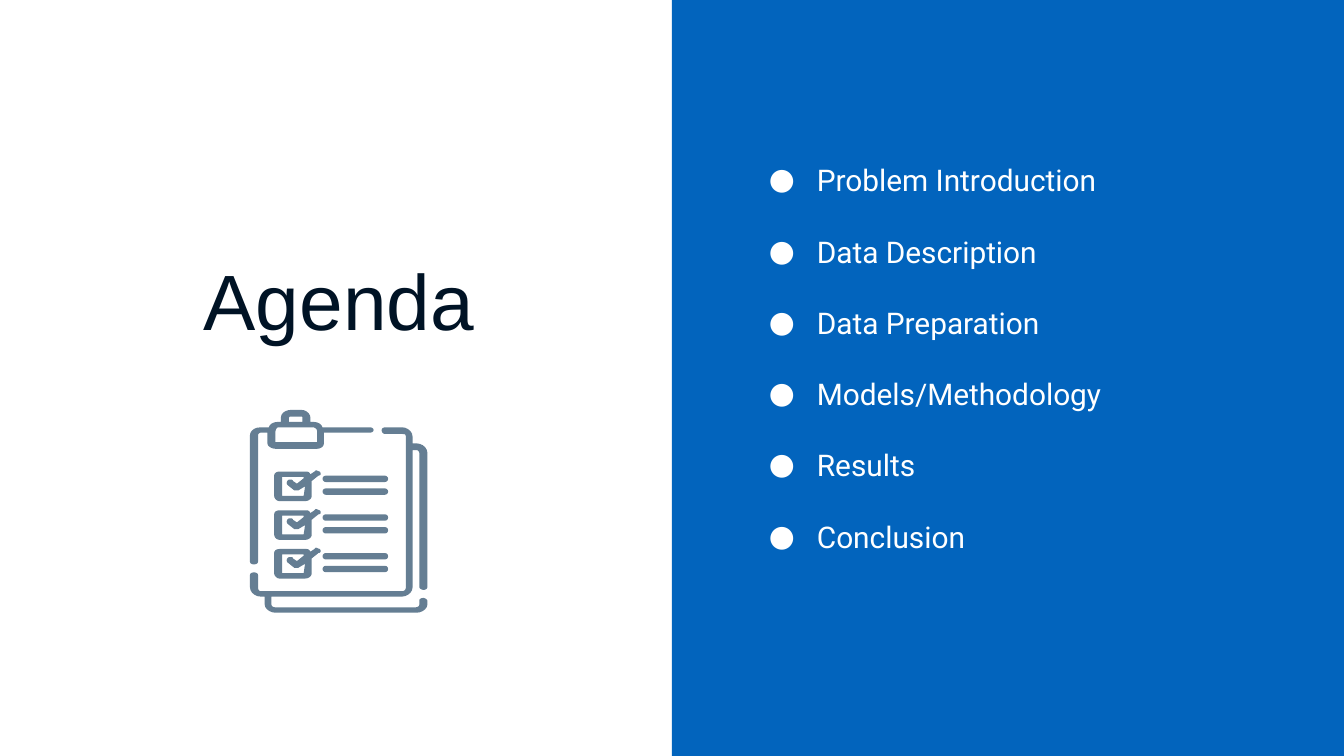
import pptx
import pptx.dml.color
import pptx.enum.shapes
import pptx.enum.text
import pptx.oxml
import pptx.oxml.ns
import pptx.util
from pptx.util import Cm

COLOURS = {"panel": "0264BD", "title": "001325", "body": "FFFFFF", "icon": "657E93"}
TOPICS = ["Problem Introduction", "Data Description", "Data Preparation",
          "Models/Methodology", "Results", "Conclusion"]

UNIT = 0.0254
ROW_STEP = 28.8
CURVE_STEPS = 5

SHEETS = [[
    (287, 318), (285, 318, 284, 319, 284, 320), (284, 322, 285, 323, 287, 323),
    (299, 323), (301, 323, 302, 323, 302, 325), (302, 437),
    (302, 439, 301, 440, 299, 440), (194, 440), (193, 440, 192, 439, 192, 437),
    (192, 428), (192, 427, 191, 426, 189, 426), (187, 426, 186, 427, 186, 428),
    (186, 437), (186, 441, 190, 444, 194, 444), (197, 444), (197, 450),
    (197, 453, 201, 456, 205, 456), (310, 456), (314, 456, 318, 453, 318, 450),
    (318, 447), (318, 446, 316, 445, 315, 445), (313, 445, 312, 446, 312, 447),
    (312, 450), (312, 451, 311, 452, 309, 452), (205, 452),
    (203, 452, 202, 451, 202, 450), (202, 444), (299, 444),
    (303, 444, 307, 441, 307, 437), (307, 335), (310, 335),
    (311, 335, 312, 336, 312, 337), (312, 437), (312, 438, 314, 439, 315, 439),
    (317, 439, 318, 438, 318, 437), (318, 337), (318, 333, 314, 330, 310, 330),
    (307, 330), (307, 325), (307, 321, 303, 318, 299, 318),
]]
CLIP = [
    [(224, 310), (225, 310, 225, 310, 225, 311), (225, 314), (215, 314),
     (215, 311), (215, 310, 216, 310, 217, 310)],
    [(233, 318), (234, 318, 236, 319, 236, 321), (236, 329), (205, 329),
     (205, 321), (205, 320, 206, 318, 207, 318)],
    [(217, 305), (213, 305, 209, 307, 209, 311), (209, 314), (207, 314),
     (204, 314, 201, 315, 200, 318), (194, 318), (189, 318, 186, 321, 186, 324),
     (186, 418), (186, 419, 187, 420, 189, 420), (191, 420, 192, 419, 192, 418),
     (192, 324), (192, 323, 193, 322, 194, 322), (199, 322), (199, 330),
     (199, 332, 202, 334, 205, 334), (236, 334), (239, 334, 241, 332, 241, 330),
     (241, 322), (275, 322), (277, 322, 278, 321, 278, 320),
     (278, 319, 277, 318, 275, 318), (240, 318), (239, 315, 236, 314, 233, 314),
     (231, 314), (231, 311), (231, 308, 228, 305, 224, 305)],
]
CHECK = [
    [(226, 355), (226, 356), (221, 360), (218, 358), (218, 357, 217, 357, 216, 357),
     (216, 357, 215, 357, 215, 357), (213, 358, 213, 360, 214, 361), (219, 365),
     (219, 365, 220, 365, 221, 365), (221, 365, 222, 365, 222, 365), (227, 362),
     (226, 369), (210, 369), (210, 355)],
    [(235, 350), (235, 350, 234, 351, 234, 351), (231, 353),
     (230, 351, 229, 351, 227, 351), (208, 351), (206, 351, 204, 352, 204, 354),
     (204, 369), (204, 371, 206, 373, 208, 373), (227, 373),
     (230, 373, 232, 371, 232, 369), (232, 358), (237, 354),
     (239, 354, 239, 352, 238, 351), (237, 351, 236, 350, 235, 350)],
]


def colour(name):
    """Return the named colour."""
    return pptx.dml.color.RGBColor.from_string(COLOURS[name])


def paint(shape, name):
    """Give a shape a plain fill with no line or shadow."""
    shape.shadow.inherit = False
    shape.fill.solid()
    shape.fill.fore_color.rgb = colour(name)
    shape.line.fill.background()


def flatten(contour):
    """Turn lines and cubic curves into a list of points."""
    points = [contour[0]]
    for step in contour[1:]:
        if len(step) == 2:
            points.append(step)
            continue
        controls = [points[-1], step[:2], step[2:4], step[4:]]
        for count in range(1, CURVE_STEPS + 1):
            t = count / CURVE_STEPS
            weights = [(1 - t) ** 3, 3 * t * (1 - t) ** 2, 3 * t * t * (1 - t), t ** 3]
            points.append(tuple(sum(weight * control[axis] for weight, control
                                    in zip(weights, controls)) for axis in (0, 1)))
    return points


def add_outline(group, contours, drop=0):
    """Draw closed contours as one filled shape, moved down by drop units."""
    builder = None
    for contour in contours:
        points = [(Cm(x * UNIT), Cm((y + drop) * UNIT)) for x, y in flatten(contour)]
        if builder is None:
            builder = group.shapes.build_freeform(*points[0], scale=1.0)
        else:
            builder.move_to(*points[0])
        builder.add_line_segments(points[1:], close=True)
    paint(builder.convert_to_shape(), "icon")


def add_bar(group, top):
    """Draw one round-ended text line of the checklist."""
    bar = group.shapes.add_shape(pptx.enum.shapes.MSO_SHAPE.ROUNDED_RECTANGLE,
                                 Cm(240 * UNIT), Cm(top * UNIT), Cm(1.24), Cm(0.12))
    bar.adjustments[0] = 0.5
    paint(bar, "icon")


def add_checklist(page):
    """Draw the clipboard with its three ticked rows."""
    group = page.shapes.add_group_shape()
    add_outline(group, SHEETS)
    add_outline(group, CLIP)
    for row in range(3):
        drop = row * ROW_STEP
        add_outline(group, CHECK, drop)
        for top in (354, 363.5):
            add_bar(group, top + drop)


def add_text(page, left, top, width, height, text, anchor):
    """Add a wrapping text box and return its text frame."""
    frame = page.shapes.add_textbox(Cm(left), Cm(top), Cm(width), Cm(height)).text_frame
    frame.word_wrap = True
    frame.vertical_anchor = anchor
    frame.margin_left = frame.margin_right = Cm(0.25)
    frame.margin_top = frame.margin_bottom = Cm(0.25)
    frame.text = text
    return frame


def style(paragraph, size, face, name):
    """Format every run of a paragraph."""
    for span in paragraph.runs:
        span.font.size = pptx.util.Pt(size)
        span.font.name = face
        span.font.color.rgb = colour(name)


def add_bullet(paragraph):
    """Give a paragraph a round white bullet with a hanging indent."""
    properties = paragraph._p.get_or_add_pPr()
    properties.set("marL", str(Cm(1.27)))
    properties.set("indent", str(Cm(-0.91)))
    namespace = pptx.oxml.ns.nsdecls("a")
    for markup in (f'<a:buClr {namespace}><a:srgbClr val="{COLOURS["body"]}"/></a:buClr>',
                   f'<a:buFont {namespace} typeface="Roboto"/>',
                   f'<a:buChar {namespace} char="●"/>'):
        properties.append(pptx.oxml.parse_xml(markup))


def add_title(page):
    """Add the centred slide title."""
    frame = add_text(page, 0.79, 2.69, 11.23, 4.11, "Agenda",
                     pptx.enum.text.MSO_ANCHOR.BOTTOM)
    frame.paragraphs[0].alignment = pptx.enum.text.PP_ALIGN.CENTER
    style(frame.paragraphs[0], 42, "Arial", "title")


def add_topics(page):
    """Add the bulleted list of topics."""
    frame = add_text(page, 13.92, 0.38, 10.49, 12.78, "\n".join(TOPICS),
                     pptx.enum.text.MSO_ANCHOR.MIDDLE)
    for index, paragraph in enumerate(frame.paragraphs):
        add_bullet(paragraph)
        if index:
            paragraph.space_before = pptx.util.Pt(19)
        style(paragraph, 16, "Roboto", "body")


def main():
    """Build the agenda slide and save it."""
    deck = pptx.Presentation()
    deck.slide_width, deck.slide_height = Cm(25.4), Cm(14.29)
    page = deck.slides.add_slide(deck.slide_layouts[6])
    panel = page.shapes.add_shape(pptx.enum.shapes.MSO_SHAPE.RECTANGLE,
                                  Cm(12.7), 0, Cm(12.7), deck.slide_height)
    paint(panel, "panel")
    add_title(page)
    add_topics(page)
    add_checklist(page)
    deck.save("out.pptx")


if __name__ == "__main__":
    main()
